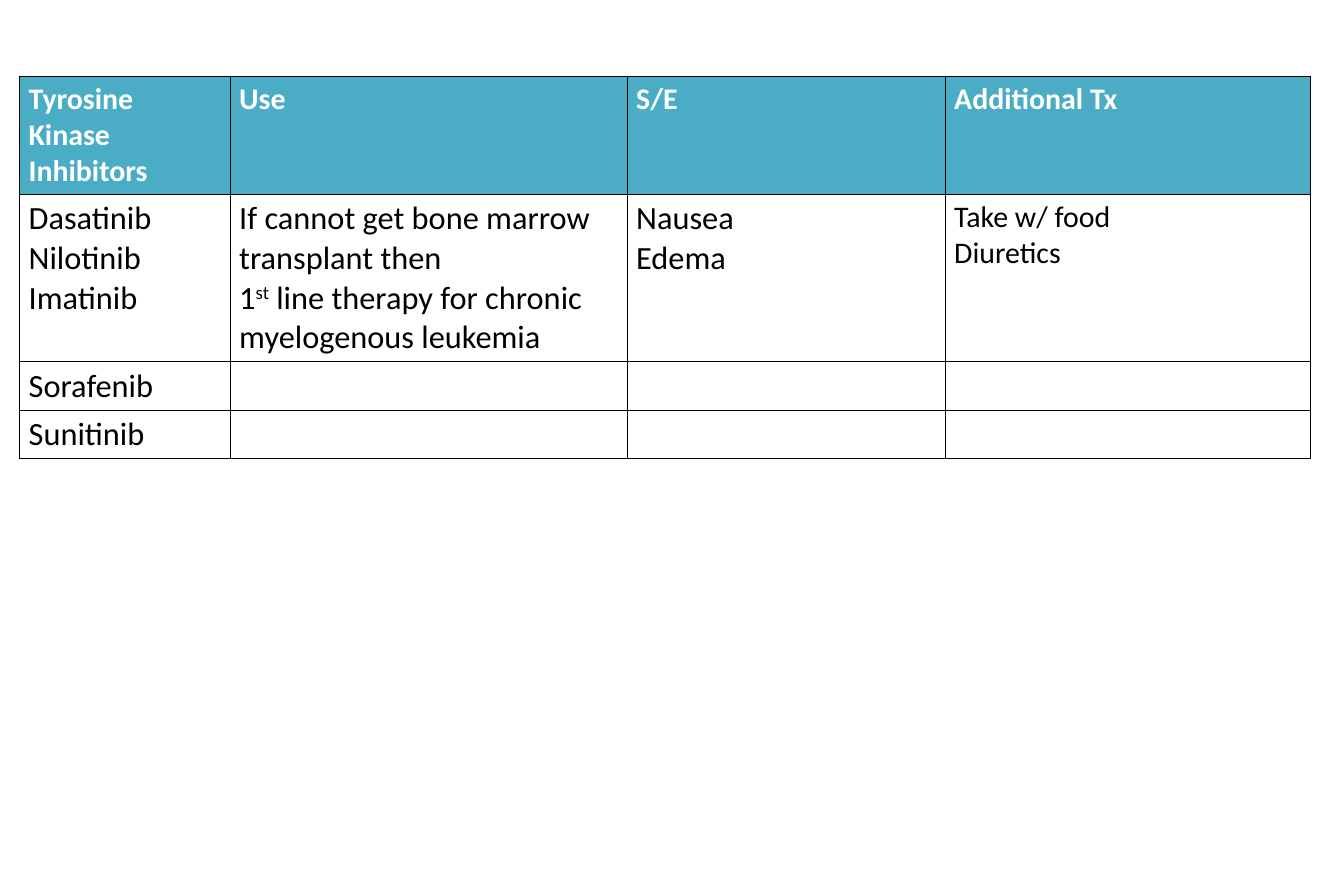
"""Build a slide with a table of tyrosine kinase inhibitors."""
from lxml import etree
from pptx import Presentation
from pptx.dml.color import RGBColor
from pptx.oxml.ns import qn
from pptx.util import Inches, Pt

BLANK_LAYOUT = 6
BLACK, WHITE, TEAL = "000000", "FFFFFF", "4BACC6"
COLUMN_WIDTHS = [2.35, 4.43, 3.55, 4.08]
ROW_HEIGHTS = [1.32, 1.86, 0.54, 0.54]
ROWS = [
    ["Tyrosine Kinase Inhibitors", "Use", "S/E", "Additional Tx"],
    [
        "Dasatinib\nNilotinib\nImatinib",
        "If cannot get bone marrow transplant then\n"
        "1^st^ line therapy for chronic myelogenous leukemia",
        "Nausea\nEdema",
        "Take w/ food\nDiuretics",
    ],
    ["Sorafenib", "", "", ""],
    ["Sunitinib", "", "", ""],
]


def write_text(frame, text, size=26, color=BLACK, bold=False):
    """Write lines as paragraphs; text between carets is superscript."""
    for number, line in enumerate(text.split("\n")):
        para = frame.paragraphs[0] if number == 0 else frame.add_paragraph()
        para.font.size = Pt(size)
        for index, part in enumerate(line.split("^")):
            if not part:
                continue
            span = para.add_run()
            span.text = part
            span.font.name = "Calibri"
            span.font.size = Pt(size)
            span.font.bold = bold
            span.font.color.rgb = RGBColor.from_string(color)
            if index % 2:
                span.font._element.set("baseline", "30000")


def add_borders(cell):
    """Draw a thin black line on each side of a cell."""
    properties = cell._tc.get_or_add_tcPr()
    for side in ("a:lnL", "a:lnR", "a:lnT", "a:lnB"):
        line = etree.SubElement(properties, qn(side), w=str(Pt(1)))
        fill = etree.SubElement(line, qn("a:solidFill"))
        etree.SubElement(fill, qn("a:srgbClr"), val=BLACK)


deck = Presentation()
deck.slide_width, deck.slide_height = Inches(15), Inches(10)
page = deck.slides.add_slide(deck.slide_layouts[BLANK_LAYOUT])

table = page.shapes.add_table(
    len(ROWS), len(COLUMN_WIDTHS), Inches(0.22), Inches(0.85),
    Inches(sum(COLUMN_WIDTHS)), Inches(sum(ROW_HEIGHTS)),
).table
table.first_row = True
table.horz_banding = False
for column, width in zip(table.columns, COLUMN_WIDTHS):
    column.width = Inches(width)
for row, height in zip(table.rows, ROW_HEIGHTS):
    row.height = Inches(height)

for row_index, texts in enumerate(ROWS):
    header = row_index == 0
    for column_index, text in enumerate(texts):
        cell = table.cell(row_index, column_index)
        add_borders(cell)
        cell.fill.solid()
        cell.fill.fore_color.rgb = RGBColor.from_string(TEAL if header else WHITE)
        last_column = column_index == len(texts) - 1
        write_text(
            cell.text_frame, text,
            size=24 if header or last_column else 26,
            color=WHITE if header else BLACK,
            bold=header,
        )

deck.save("out.pptx")
